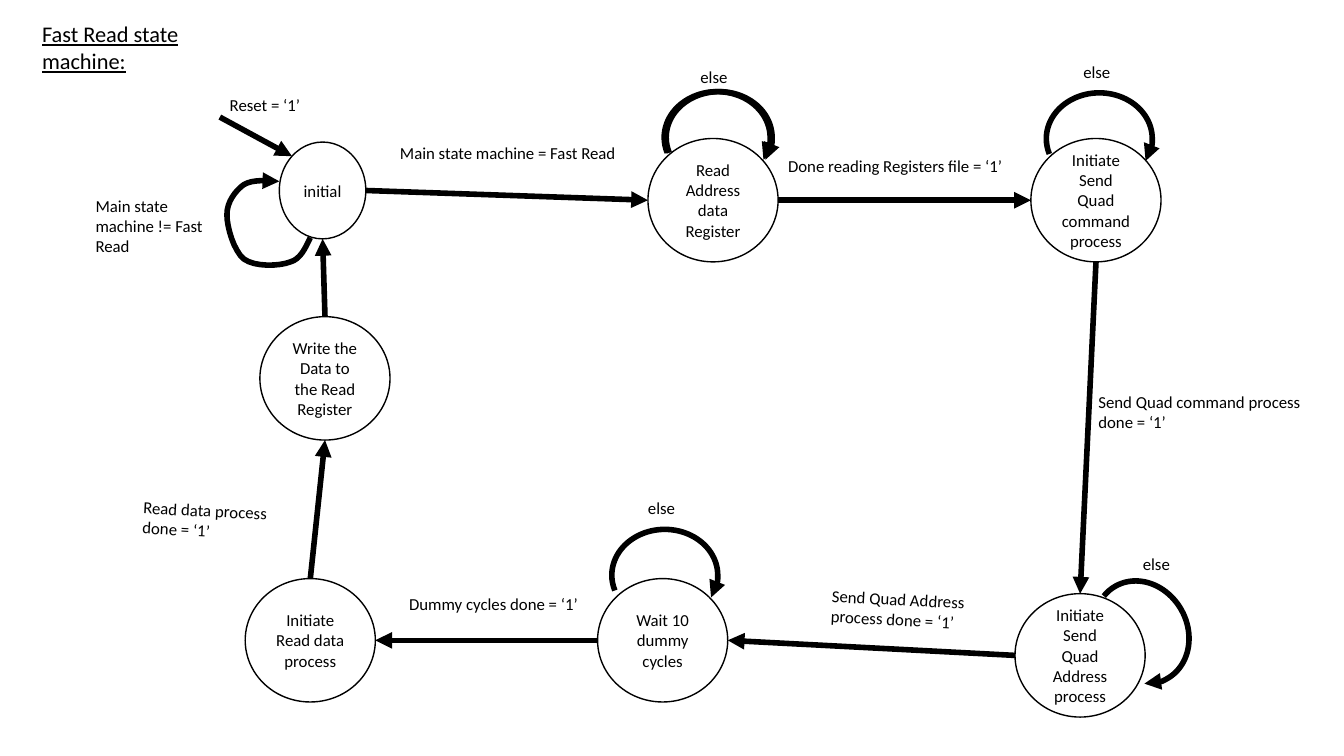
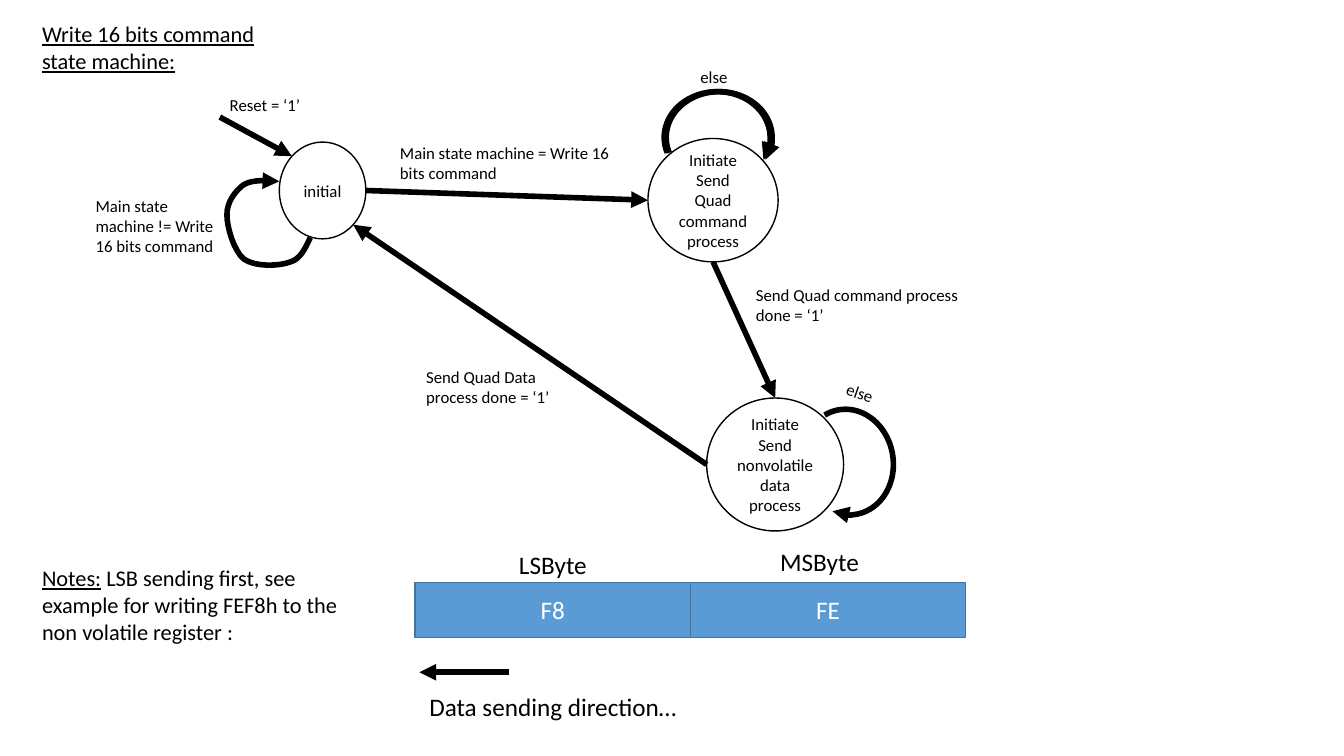
import pptx
import pptx.util
import pptx.dml.color
import pptx.enum.shapes
import pptx.enum.text
import pptx.oxml.ns
import lxml.etree

Cm, Pt = pptx.util.Cm, pptx.util.Pt
KIND = pptx.enum.shapes.MSO_SHAPE
ENUM = pptx.enum.text

# Theme: colours, type sizes (pt), line widths (pt)
THEME = {
    "font": "Calibri", "ink": "000000", "pale": "FFFFFF",
    "cell": "5B9BD5", "edge": "43739E",
    "body": 12, "title": 16, "large": 18, "thin": 1, "thick": 4,
}

# Shared geometry in cm; ports are fractions of a state's box
WIDE, HIGH = 33.87, 19.05
STATE = (3.28, 3.11)
ARC = (2.67, 2.31)
SWEEP = (97.761, 15.408)
PORT = {
    "N": (0.5, 0), "S": (0.5, 1), "W": (0, 0.5), "E": (1, 0.5),
    "NW": (0.146, 0.146), "SE": (0.854, 0.854),
}
START = (7.82, 5.99)
CURVES = [
    ((7.7, 6.25), (7.57, 6.53), (7.32, 6.6)),
    ((7.04, 6.71), (6.43, 6.73), (6.15, 6.53)),
    ((5.89, 6.32), (5.72, 5.72), (5.72, 5.41)),
    ((5.72, 5.08), (5.94, 4.8), (6.15, 4.65)),
    ((6.38, 4.52), (6.71, 4.55), (7.04, 4.57)),
]

# Parts on both slides
INIT = ("initial", 7.04, 3.58, (2.18, 2.44))
RESET = ("Reset = ‘1’", 5.54, 2.26, 2.49, 1, 0)
ENTRY = (5.54, 2.95)
TWIN = [(16.79, 2.31, 0), (16.74, 2.31, 0)]
ELSE = ("else", 17.4, 1.55, 1.98, 1, 0)

# States: text, left, top, size
# Labels: text, left, top, width, rows, turn
# Arcs: left, top, turn
SLIDES = [
    {
        "title": ("Fast Read state machine:", 3.94),
        "states": {
            "init": INIT,
            "read": ("Read Address data Register", 16.33, 3.49, STATE),
            "quad": ("Initiate Send Quad command process", 25.98, 3.49, STATE),
            "addr": ("Initiate Send Quad Address\nprocess", 25.58, 14.96, STATE),
            "wait": ("Wait 10 dummy cycles", 15.06, 14.58, STATE),
            "data": ("Initiate Read data\nprocess", 6.18, 14.58, STATE),
            "write": ("Write the Data to the Read Register", 6.55, 7.98, STATE),
        },
        "edges": [
            ("init", "E", "read", "W"), ("read", "E", "quad", "W"),
            ("quad", "S", "addr", "N"), ("addr", "W", "wait", "E"),
            ("wait", "W", "data", "E"), ("data", "N", "write", "S"),
            ("write", "N", "init", "S"),
        ],
        "arcs": TWIN + [(26.37, 2.34, 0), (27.43, 14.78, 61), (15.42, 13.34, 0)],
        "labels": [
            RESET, ELSE,
            ("Main state machine = Fast Read", 9.83, 3.48, 6.48, 1, 0),
            ("Main state machine != Fast Read", 2.16, 4.8, 3.73, 3, 0),
            ("Done reading Registers file = ‘1’", 19.61, 3.81, 6.48, 1, 0),
            ("Send Quad command process done = ‘1’", 27.43, 9.75, 6.48, 2, 0),
            ("Send Quad Address\nprocess done = ‘1’", 20.7, 14.73, 4.45, 2, 2.9),
            ("Dummy cycles done = ‘1’", 10.06, 14.83, 5.28, 1, 0),
            ("Read data process done = ‘1’", 3.35, 12.5, 4.45, 2, 2.9),
            ("else", 27.05, 1.42, 1.98, 1, 0),
            ("else", 28.55, 13.82, 1.98, 1, 0),
            ("else", 16.08, 12.42, 1.98, 1, 0),
        ],
    },
    {
        "title": ("Write 16 bits command state machine:", 6.53),
        "states": {
            "init": INIT,
            "quad": ("Initiate Send Quad command process", 16.33, 3.49, STATE),
            "data": ("Initiate Send nonvolatile data\nprocess", 17.81, 10.03,
                     (3.45, 3.35)),
        },
        "edges": [
            ("init", "E", "quad", "W"), ("quad", "S", "data", "N"),
            ("data", "W", "init", "SE"),
        ],
        "arcs": TWIN + [(20.02, 10.49, 81.2)],
        "labels": [
            RESET, ELSE,
            ("Main state machine = Write 16 bits command", 9.83, 3.48, 6.48, 2, 0),
            ("Main state machine != Write 16 bits command", 2.16, 4.8, 3.73, 3, 0),
            ("Send Quad command process done = ‘1’", 18.8, 7.04, 6.48, 2, 0),
            ("Send Quad Data\nprocess done = ‘1’", 10.49, 9.12, 4.45, 2, 0),
            ("else", 21.06, 9.65, 1.98, 1, 19.2),
        ],
    },
]

# Byte order figure on the second slide
NOTE = ("Notes:",
        " LSB sending first, see example for writing FEF8h to the non volatile register :")
BYTES = ["F8", "FE"]
HEADS = [
    ("LSByte", 12.83, 13.72, 2.24), ("MSByte", 19.41, 13.64, 2.51),
    ("Data sending direction…", 10.57, 17.3, 6.86),
]
BAR = (10.46, 14.68, 6.94, 1.38)
FLOW = ((12.83, 16.94), (10.57, 16.94))


def tint(name):
    return pptx.dml.color.RGBColor.from_string(THEME[name])


def style(part, form):
    for key, val in form.items():
        setattr(part, key, val)


def write(frame, text, size="body", ink="ink", lead="", align=None):
    """Fill a frame; lead is underlined text before the first paragraph."""
    form = {"name": THEME["font"], "size": Pt(THEME[size])}
    for num, line in enumerate(text.split("\n")):
        para = frame.add_paragraph() if num else frame.paragraphs[0]
        para.alignment = align
        for words, under in ((lead if not num else "", True), (line, False)):
            if words:
                run = para.add_run()
                run.text = words
                style(run.font, {**form, "underline": under})
                run.font.color.rgb = tint(ink)


def label(slide, text, left, top, width, rows=1, turn=0, size="body",
          lead="", wrap=True):
    high = 0.25 + rows * THEME[size] * 0.0425
    box = slide.shapes.add_textbox(Cm(left), Cm(top), Cm(width), Cm(high))
    box.rotation = turn
    style(box.text_frame, {"word_wrap": wrap,
                           "auto_size": ENUM.MSO_AUTO_SIZE.SHAPE_TO_FIT_TEXT})
    write(box.text_frame, text, size, lead=lead)


def stroke(part, width="thin", ink="ink", head=False):
    part.line.color.rgb = tint(ink)
    part.line.width = Pt(THEME[width])
    if head:
        tag = pptx.oxml.ns.qn("a:tailEnd")
        lxml.etree.SubElement(part.line._get_or_add_ln(), tag, type="triangle")


def shape(slide, kind, left, top, width, high, fill=None):
    part = slide.shapes.add_shape(kind, Cm(left), Cm(top), Cm(width), Cm(high))
    part.shadow.inherit = False
    if fill:
        part.fill.solid()
        part.fill.fore_color.rgb = tint(fill)
    else:
        part.fill.background()
    return part


def block(slide, kind, text, spot, size="body", ink="ink", edge="ink", fill=None):
    part = shape(slide, kind, *spot, fill)
    stroke(part, ink=edge)
    style(part.text_frame, {"word_wrap": True,
                            "vertical_anchor": ENUM.MSO_ANCHOR.MIDDLE})
    write(part.text_frame, text, size, ink, align=ENUM.PP_ALIGN.CENTER)


def arrow(slide, tail, tip):
    part = slide.shapes.add_connector(
        pptx.enum.shapes.MSO_CONNECTOR.STRAIGHT, *map(Cm, tail + tip))
    stroke(part, "thick", head=True)
    lxml.etree.SubElement(part._element.spPr, pptx.oxml.ns.qn("a:effectLst"))


def arc(slide, left, top, turn):
    part = shape(slide, KIND.ARC, left, top, *ARC)
    part.rotation = turn
    for num, angle in enumerate(SWEEP):
        part.adjustments[num] = angle
    stroke(part, "thick", head=True)


def loop(slide, steps=8):
    """Draw the initial state's return loop from sampled cubic curves."""
    last, spots = START, []
    for curve in CURVES:
        ends = (last,) + curve
        for num in range(1, steps + 1):
            t = num / steps
            mix = ((1 - t) ** 3, 3 * t * (1 - t) ** 2, 3 * t * t * (1 - t), t ** 3)
            spots.append(tuple(Cm(sum(m * p[axis] for m, p in zip(mix, ends)))
                               for axis in (0, 1)))
        last = curve[-1]
    pen = slide.shapes.build_freeform(Cm(START[0]), Cm(START[1]))
    pen.add_line_segments(spots, close=False)
    part = pen.convert_to_shape()
    part.shadow.inherit = False
    part.fill.background()
    stroke(part, "thick", head=True)


def port(state, side):
    _, left, top, (width, high) = state
    across, down = PORT[side]
    return left + across * width, top + down * high


def machine(slide, data):
    title, width = data["title"]
    label(slide, "", 0.81, 0.38, width, 2, size="title", lead=title)
    states = data["states"]
    for text, left, top, size in states.values():
        block(slide, KIND.OVAL, text, (left, top, *size))
    arrow(slide, ENTRY, port(states["init"], "NW"))
    for tail, out, tip, into in data["edges"]:
        arrow(slide, port(states[tail], out), port(states[tip], into))
    loop(slide)
    for item in data["arcs"]:
        arc(slide, *item)
    for item in data["labels"]:
        label(slide, *item)


def order(slide):
    lead, text = NOTE
    label(slide, text, 0.81, 14.1, 8.28, 3, size="title", lead=lead)
    left, top, width, high = BAR
    for num, text in enumerate(BYTES):
        block(slide, KIND.RECTANGLE, text, (left + num * width, top, width, high),
              "large", "pale", "edge", "cell")
    for item in HEADS:
        label(slide, *item, size="large", wrap=False)
    arrow(slide, *FLOW)


def main():
    deck = pptx.Presentation()
    style(deck, {"slide_width": Cm(WIDE), "slide_height": Cm(HIGH)})
    for data in SLIDES:
        slide = deck.slides.add_slide(deck.slide_layouts[6])
        machine(slide, data)
    order(slide)
    deck.save("out.pptx")


if __name__ == "__main__":
    main()
